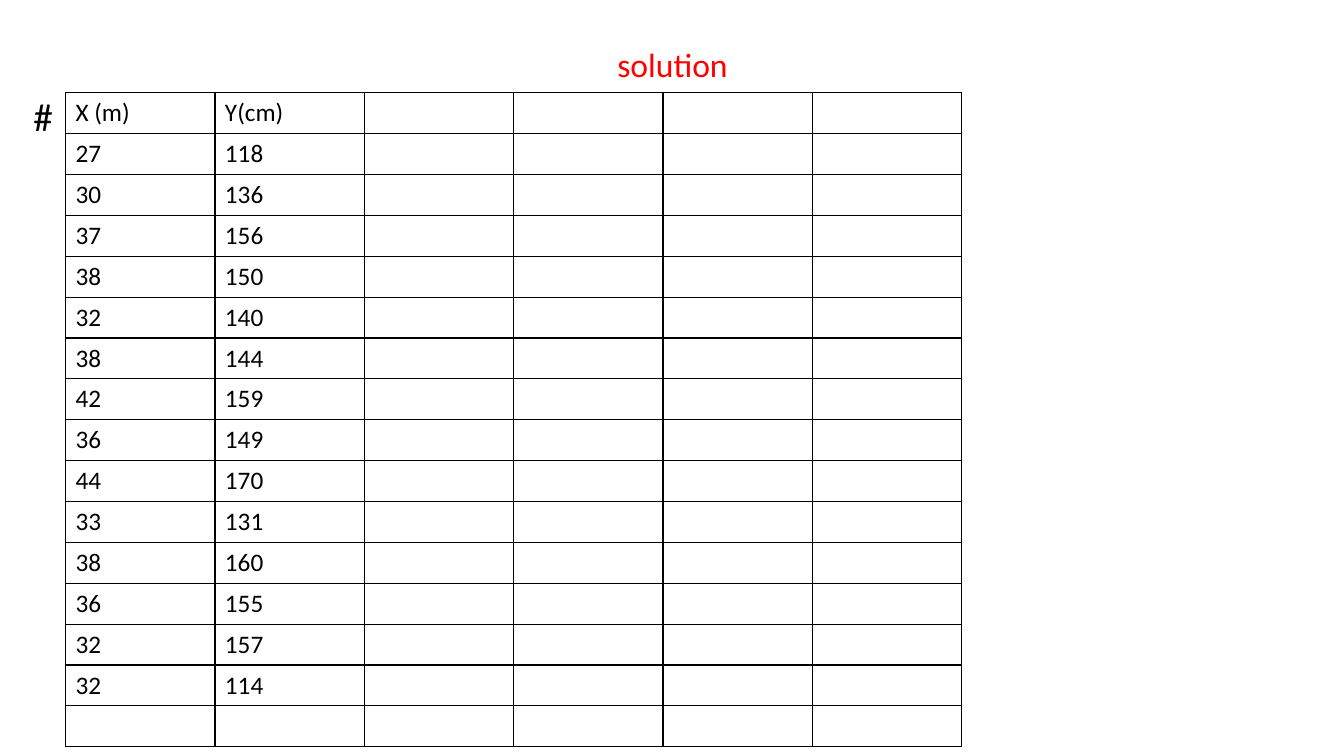
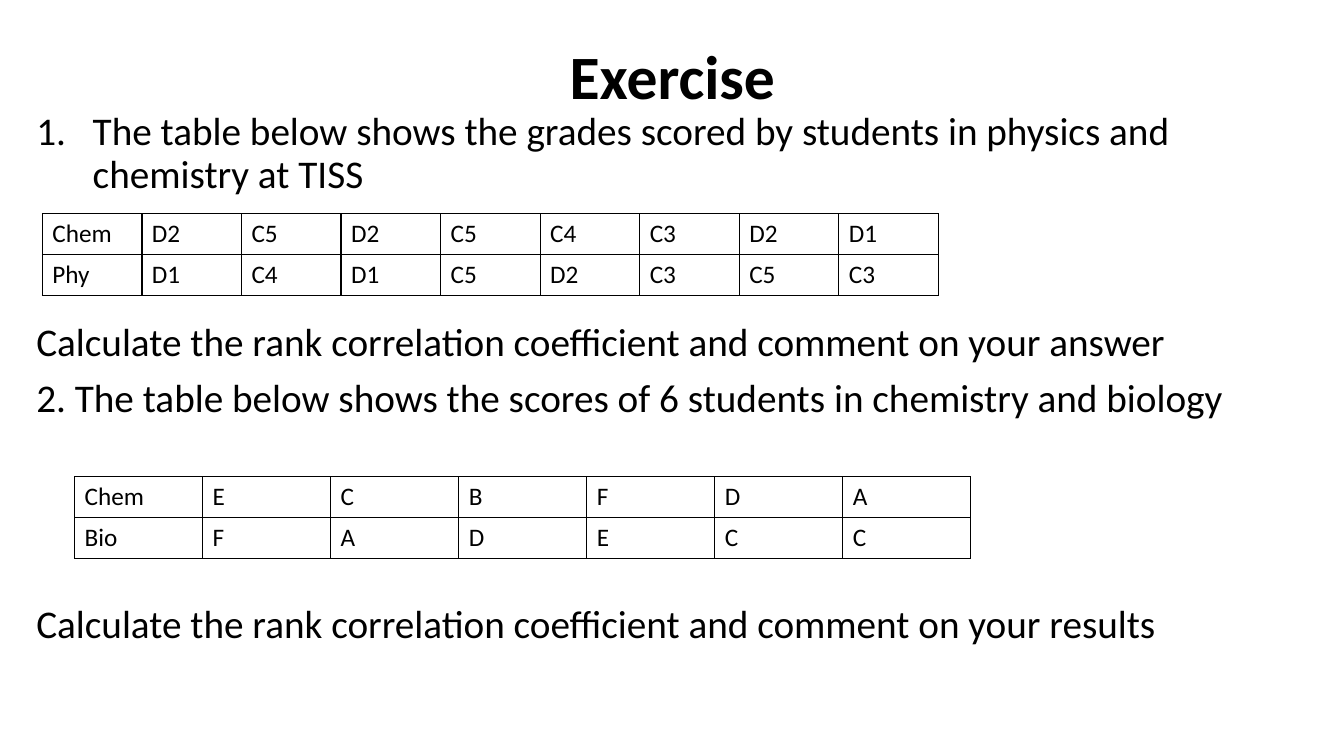
"""Build two slides on rank correlation: a solution table and an exercise."""
from dataclasses import dataclass

from pptx import Presentation
from pptx.dml.color import RGBColor
from pptx.enum.text import MSO_ANCHOR, MSO_AUTO_SIZE, PP_ALIGN
from pptx.oxml.ns import qn
from pptx.util import Inches, Pt
from lxml.etree import SubElement


@dataclass(frozen=True)
class Theme:
    """Shared look of the slides."""
    font: str = "Calibri"
    ink: str = "000000"
    accent: str = "FF0000"
    cell_size: int = 18
    small_title_size: int = 24
    body_size: int = 28
    title_size: int = 44
    line_spacing: float = 0.9
    paragraph_gap: int = 10
    number_indent: float = 0.56
    table_width: float = 8.89
    row_height: float = 29.2
    border_width: float = 1


THEME = Theme()
EMPTY_COLUMNS = 4
MEASUREMENTS = [
    ("X (m)", "Y(cm)"),
    (27, 118), (30, 136), (37, 156), (38, 150), (32, 140),
    (38, 144), (42, 159), (36, 149), (44, 170), (33, 131),
    (38, 160), (36, 155), (32, 157), (32, 114),
    ("", ""),
]
CHEMISTRY_PHYSICS = [
    "Chem D2 C5 D2 C5 C4 C3 D2 D1".split(),
    "Phy D1 C4 D1 C5 D2 C3 C5 C3".split(),
]
CHEMISTRY_BIOLOGY = ["Chem E C B F D A".split(), "Bio F A D E C C".split()]

SLIDES = [
    {
        "title": "solution",
        "title_box": (0.92, 0.4, 11.5, 0.52),
        "title_format": {"size": THEME.small_title_size, "color": THEME.accent},
        "body_box": (0.23, 0.92, 12.76, 6.58),
        "body": [("#", {})],
        "tables": [(0.65, 0.92, [(*row, *[""] * EMPTY_COLUMNS) for row in MEASUREMENTS])],
    },
    {
        "title": "Exercise",
        "title_box": (0.92, 0.4, 11.5, 0.77),
        "title_format": {"size": THEME.title_size, "bold": True},
        "body_box": (0.26, 1.06, 12.16, 6.27),
        "body": [
            ("The table below shows the grades scored by students in physics and "
             "chemistry at TISS", {"numbered": True}),
            ("Calculate the rank correlation coefficient and comment on your answer",
             {"before": 90}),
            ("2. The table below shows the scores of 6 students in chemistry and biology",
             {"before": THEME.paragraph_gap}),
            ("Calculate the rank correlation coefficient and comment on your results",
             {"before": 131}),
        ],
        "tables": [(0.42, 2.12, CHEMISTRY_PHYSICS), (0.74, 4.73, CHEMISTRY_BIOLOGY)],
    },
]


def write(paragraph, text, size=THEME.body_size, color=THEME.ink, bold=False,
          align=PP_ALIGN.LEFT, spacing=THEME.line_spacing, before=0, numbered=False):
    """Write one formatted paragraph."""
    paragraph.alignment = align
    paragraph.line_spacing = spacing
    paragraph.space_before = Pt(before)
    properties = paragraph._p.get_or_add_pPr()
    indent = Inches(THEME.number_indent) if numbered else 0
    properties.set("marL", str(indent))
    properties.set("indent", str(-indent))
    if numbered:
        SubElement(properties, qn("a:buAutoNum"), type="arabicPeriod")
    else:
        SubElement(properties, qn("a:buNone"))
    run = paragraph.add_run()
    run.text = text
    run.font.name = THEME.font
    run.font.size = Pt(size)
    run.font.bold = bold
    run.font.color.rgb = RGBColor.from_string(color)


def place(shape, box, anchor):
    """Move a placeholder and return its text frame."""
    shape.left, shape.top, shape.width, shape.height = map(Inches, box)
    frame = shape.text_frame
    frame.auto_size = MSO_AUTO_SIZE.NONE
    frame.word_wrap = True
    frame.vertical_anchor = anchor
    return frame


def draw_borders(cell):
    """Outline a cell on all four sides and leave it unfilled."""
    properties = cell._tc.get_or_add_tcPr()
    for side in ("lnL", "lnR", "lnT", "lnB"):
        line = SubElement(properties, qn(f"a:{side}"), w=str(Pt(THEME.border_width)))
        fill = SubElement(line, qn("a:solidFill"))
        SubElement(fill, qn("a:srgbClr"), val=THEME.ink)
    cell.fill.background()


def add_grid(slide, left, top, rows):
    """Add a bordered table with equal columns and rows."""
    table = slide.shapes.add_table(
        len(rows), len(rows[0]), Inches(left), Inches(top),
        Inches(THEME.table_width), Pt(THEME.row_height * len(rows))).table
    table.first_row = table.horz_banding = False
    for row_index, row in enumerate(rows):
        for column_index, value in enumerate(row):
            cell = table.cell(row_index, column_index)
            draw_borders(cell)
            if value != "":
                write(cell.text_frame.paragraphs[0], str(value),
                      size=THEME.cell_size, spacing=1.0)


def add_slide(presentation, content):
    """Add a slide with its title, body and tables."""
    slide = presentation.slides.add_slide(presentation.slide_layouts[1])
    title = place(slide.shapes.title, content["title_box"], MSO_ANCHOR.MIDDLE)
    write(title.paragraphs[0], content["title"], align=PP_ALIGN.CENTER,
          **content["title_format"])
    body = place(slide.placeholders[1], content["body_box"], MSO_ANCHOR.TOP)
    for index, (text, text_format) in enumerate(content["body"]):
        paragraph = body.add_paragraph() if index else body.paragraphs[0]
        write(paragraph, text, **text_format)
    for left, top, rows in content["tables"]:
        add_grid(slide, left, top, rows)


def main():
    """Build and save the presentation."""
    presentation = Presentation()
    presentation.slide_width = Inches(13.33)
    presentation.slide_height = Inches(7.5)
    for content in SLIDES:
        add_slide(presentation, content)
    presentation.save("out.pptx")


if __name__ == "__main__":
    main()
